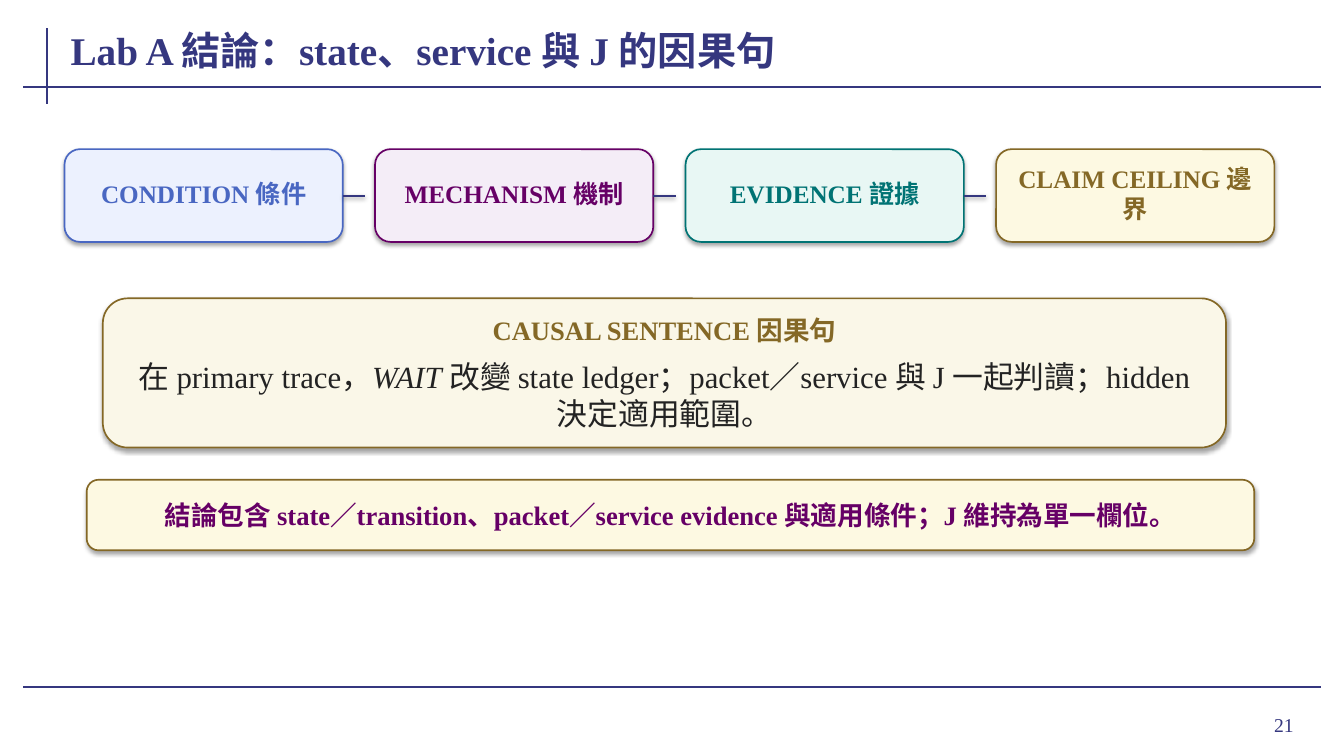
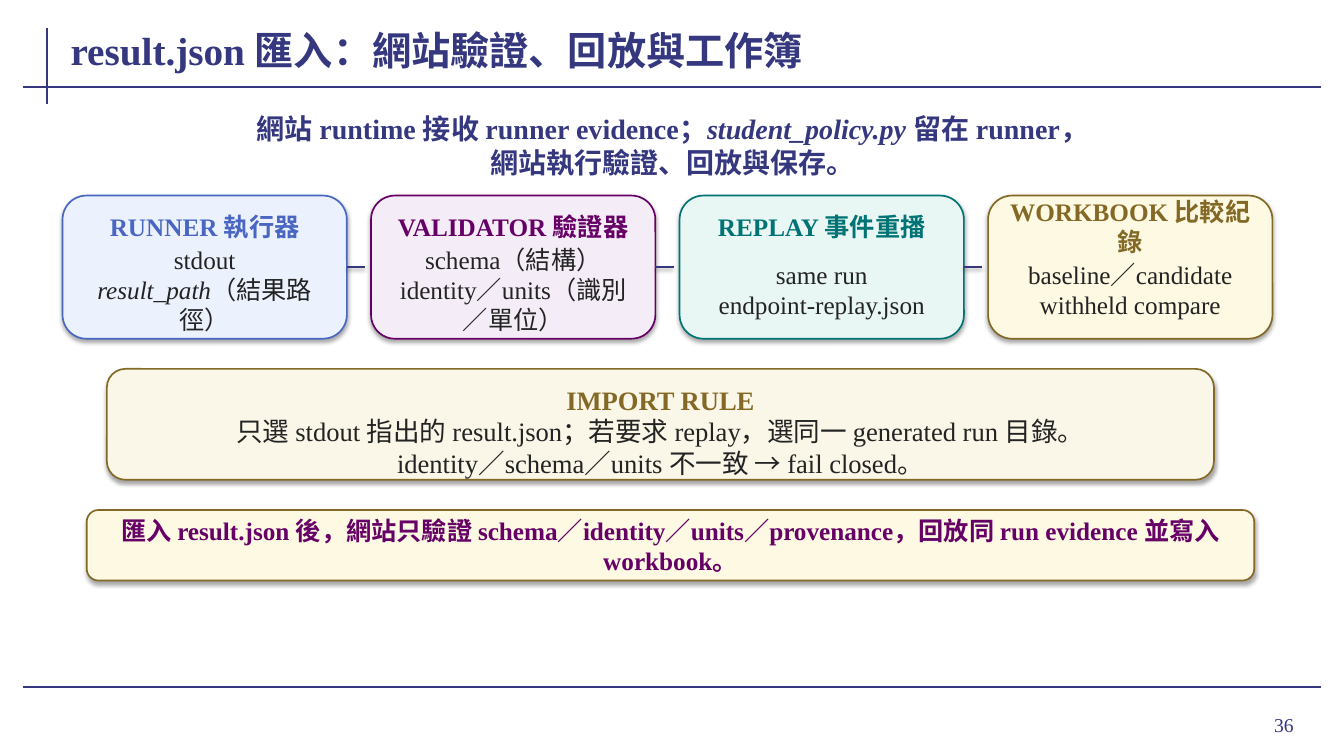
"""Build two lab slides: a causal conclusion and a result import flow."""
import pptx
import pptx.dml.color
import pptx.enum.shapes
import pptx.enum.text
import pptx.oxml.ns
import pptx.util
from lxml import etree

Inches = pptx.util.Inches
Pt = pptx.util.Pt
qn = pptx.oxml.ns.qn
ALIGN = pptx.enum.text.PP_ALIGN
AUTO = pptx.enum.text.MSO_AUTO_SIZE


class Theme:
    font = "Times New Roman"
    navy, ink, gold, purple = "35377F", "232323", "846826", "660066"
    accents = [("ECF1FE", "4967C2"), ("F4EDF7", purple),
               ("E8F7F4", "007374"), ("FDF9E2", gold)]
    panel = ("FAF7E8", gold)
    strip = ("FDF9E2", gold)
    title, lead, page, step, heading = 28, 20, 14, 18, 19
    rule_w, link_w, box_w = 1.5, 1.4, 1.2
    box_shadow = (35, 3.1, 1.8)
    link_shadow = (38, 3.1, 1.6)


FRAME_LINES = [(0.47, 0.28, 0.47, 1.03), (0.23, 0.86, 13.1, 0.86), (0.23, 6.82, 13.1, 6.82)]

SLIDES = [
    {
        "title": "Lab A 結論：state、service 與 J 的因果句",
        "page": "21",
        "row": {"at": (0.64, 1.48, 2.76, 0.92), "pitch": 3.08, "link": 0.22},
        "steps": [("CONDITION 條件", []), ("MECHANISM 機制", []),
                  ("EVIDENCE 證據", []), ("CLAIM CEILING 邊界", [])],
        "panel": {
            "at": (1.02, 2.96, 11.14, 1.48),
            "heading": "CAUSAL SENTENCE 因果句",
            "body": ["在 primary trace，*WAIT* 改變 state ledger；packet／service 與 J 一起判讀；"
                     "hidden 決定適用範圍。"],
            "size": 22,
        },
        "strip": {
            "top": 4.76, "size": 19,
            "text": "結論包含 state／transition、packet／service evidence 與適用條件；J 維持為單一欄位。",
        },
    },
    {
        "title": "result.json 匯入：網站驗證、回放與工作簿",
        "page": "36",
        "lead": ["網站 runtime 接收 runner evidence；*student_policy.py* 留在 runner，",
                 "網站執行驗證、回放與保存。"],
        "row": {"at": (0.62, 1.94, 2.82, 1.42), "pitch": 3.06, "link": 0.18},
        "steps": [
            ("RUNNER 執行器", ["stdout", "*result_path*（結果路徑）"]),
            ("VALIDATOR 驗證器", ["schema（結構）", "identity／units（識別／單位）"]),
            ("REPLAY 事件重播", ["same run", "endpoint-replay.json"]),
            ("WORKBOOK 比較紀錄", ["baseline／candidate", "withheld compare"]),
        ],
        "panel": {
            "at": (1.06, 3.66, 10.98, 1.1),
            "heading": "IMPORT RULE",
            "body": ["只選 stdout 指出的 result.json；若要求 replay，選同一 generated run 目錄。",
                     "identity／schema／units 不一致 → fail closed。"],
            "size": 19,
        },
        "strip": {
            "top": 5.06, "size": 18,
            "text": "匯入 result.json 後，網站只驗證 schema／identity／units／provenance，"
                    "回放同 run evidence 並寫入 workbook。",
        },
    },
]


def rgb(color):
    return pptx.dml.color.RGBColor.from_string(color)


def write(shape, lines, size, color, bold=False, align=ALIGN.CENTER,
          insets=(0.01, 0, 0.01, 0), auto=AUTO.NONE):
    """Fill a shape with paragraphs; text between asterisks is italic."""
    tf = shape.text_frame
    tf.word_wrap = True
    tf.auto_size = auto
    tf.vertical_anchor = pptx.enum.text.MSO_ANCHOR.MIDDLE
    tf.margin_left, tf.margin_top, tf.margin_right, tf.margin_bottom = map(Inches, insets)
    for i, line in enumerate(lines):
        p = tf.paragraphs[0] if i == 0 else tf.add_paragraph()
        p.alignment = align
        for j, part in enumerate(line.split("*")):
            if part:
                r = p.add_run()
                r.text = part
                r.font.name, r.font.size = Theme.font, Pt(size)
                r.font.bold, r.font.italic = bold, j % 2 == 1
                r.font.color.rgb = rgb(color)


def add_text(s, at, lines, size, color, **style):
    write(s.shapes.add_textbox(*map(Inches, at)), lines, size, color, **style)


def set_effect(shape, shadow=None):
    """Replace the theme effect by the given shadow or by none."""
    effects = etree.SubElement(shape.element.spPr, qn("a:effectLst"))
    if shadow:
        opacity, blur, distance = shadow
        outer = etree.SubElement(effects, qn("a:outerShdw"), blurRad=str(Pt(blur)),
                                 dist=str(Pt(distance)), dir="5400000", rotWithShape="0")
        color = etree.SubElement(outer, qn("a:srgbClr"), val="000000")
        etree.SubElement(color, qn("a:alpha"), val=str(opacity * 1000))


def add_box(s, at, colors):
    fill, edge = colors
    box = s.shapes.add_shape(pptx.enum.shapes.MSO_SHAPE.ROUNDED_RECTANGLE, *map(Inches, at))
    box.fill.solid()
    box.fill.fore_color.rgb = rgb(fill)
    box.line.color.rgb = rgb(edge)
    box.line.width = Pt(Theme.box_w)
    set_effect(box, Theme.box_shadow)
    return box


def add_line(s, ends, width, shadow=None):
    line = s.shapes.add_connector(pptx.enum.shapes.MSO_CONNECTOR.STRAIGHT, *map(Inches, ends))
    line.line.color.rgb = rgb(Theme.navy)
    line.line.width = Pt(width)
    set_effect(line, shadow)
    return line


def add_card(s, at, colors, heading, body, heading_size, body_size):
    """Draw a box with a coloured heading above its body lines."""
    x, y, w, h = at
    box = add_box(s, at, colors)
    add_text(s, (x + 0.18, y + 0.16, w - 0.36, 0.3), [heading], heading_size, colors[1],
             bold=True, auto=AUTO.SHAPE_TO_FIT_TEXT)
    add_text(s, (x + 0.2, y + 0.58, w - 0.4, h - 0.72), body, body_size, Theme.ink,
             insets=(0.08, 0.04, 0.08, 0.04), auto=AUTO.SHAPE_TO_FIT_TEXT)
    return box


def add_steps(s, steps, row):
    x, y, w, h = row["at"]
    for i, ((heading, body), colors) in enumerate(zip(steps, Theme.accents)):
        left = x + i * row["pitch"]
        at = (left, y, w, h)
        if body:
            box = add_card(s, at, colors, heading, body, Theme.step, Theme.step)
        else:
            box = add_box(s, at, colors)
            write(box, [heading], Theme.step, colors[1], bold=True, insets=(0.06, 0, 0.06, 0.04))
        if i < len(steps) - 1:
            right, middle = left + w, y + h / 2
            link = add_line(s, (right, middle, right + row["link"], middle),
                            Theme.link_w, Theme.link_shadow)
            link.begin_connect(box, 3)


def set_layout(layout, s):
    """Place the shared title area and frame lines on the layout."""
    title = layout.placeholders[0]
    title.left, title.top, title.width, title.height = map(Inches, (0.68, 0.18, 11.95, 0.62))
    for i, ends in enumerate(FRAME_LINES):
        line = add_line(s, ends, Theme.rule_w)
        line.element.nvCxnSpPr.cNvPr.id = 101 + i
        layout.shapes.element.append(line.element)


def fill_slide(s, data):
    write(s.shapes.title, [data["title"]], Theme.title, Theme.navy, bold=True,
          align=ALIGN.LEFT, insets=(0.02, 0, 0.02, 0))
    add_text(s, (11.96, 6.93, 0.97, 0.52), [data["page"]], Theme.page, Theme.navy,
             align=ALIGN.RIGHT, insets=(0.1, 0.05, 0.1, 0.05))
    if "lead" in data:
        add_text(s, (0.92, 1.18, 11.5, 0.52), data["lead"], Theme.lead, Theme.navy, bold=True,
                 insets=(0.08, 0.04, 0.08, 0.04), auto=AUTO.SHAPE_TO_FIT_TEXT)
    add_steps(s, data["steps"], data["row"])
    panel = data["panel"]
    add_card(s, panel["at"], Theme.panel, panel["heading"], panel["body"],
             Theme.heading, panel["size"])
    strip = data["strip"]
    box = add_box(s, (0.86, strip["top"], 11.58, 0.7), Theme.strip)
    write(box, [strip["text"]], strip["size"], Theme.purple, bold=True,
          insets=(0.16, 0, 0.16, 0))


def main():
    prs = pptx.Presentation()
    prs.slide_width, prs.slide_height = Inches(13.33), Inches(7.5)
    layout = prs.slide_layouts[5]
    for i, data in enumerate(SLIDES):
        s = prs.slides.add_slide(layout)
        if i == 0:
            set_layout(layout, s)
        fill_slide(s, data)
    prs.save("out.pptx")


if __name__ == "__main__":
    main()
